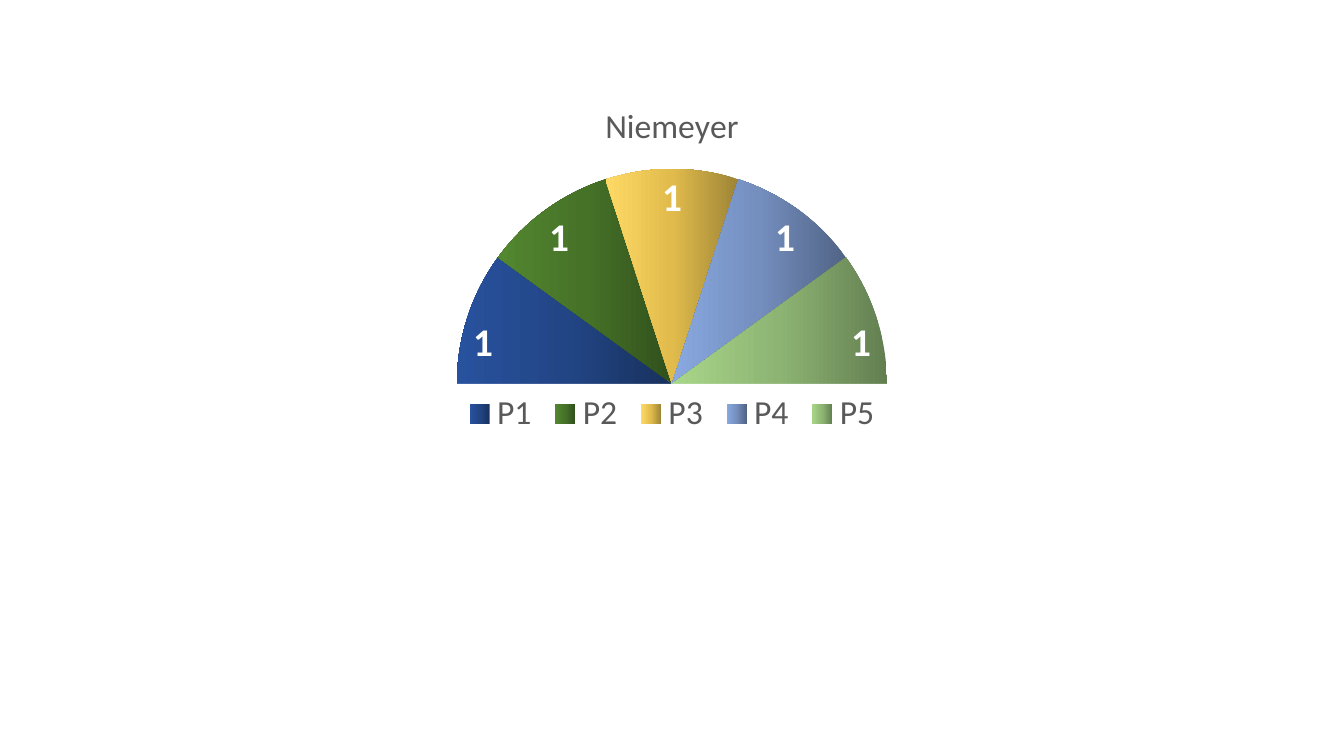
from copy import deepcopy
from pptx import Presentation
from pptx.chart.data import CategoryChartData
from pptx.dml.color import RGBColor
from pptx.enum.chart import XL_CHART_TYPE, XL_LABEL_POSITION, XL_LEGEND_POSITION
from pptx.oxml import parse_xml
from pptx.oxml.ns import nsdecls
from pptx.util import Inches, Pt

# Fan slices: dark, middle and light shade of each
SHADES = {
    "P1": ("18315E", "224585", "28529E"),
    "P2": ("31501C", "467228", "538730"),
    "P3": ("9E8436", "E1BC4C", "FFD966"),
    "P4": ("516486", "748EBE", "89A9E1"),
    "P5": ("637F51", "8DB473", "A8D689"),
}
REST = "P6"  # white lower half
COUNT = len(SHADES)


def color(code):
    return RGBColor.from_string(code)


def style(font, size, code, bold=False):
    font.name, font.size, font.bold = "Calibri", Pt(size), bold
    font.color.rgb = color(code)


def write(frame, text, **look):
    run = frame.paragraphs[0].add_run()
    run.text = text
    style(run.font, **look)


def node(body):
    """Make a chart element from its tag and content."""
    tag = body.split(">", 1)
    return parse_xml(f"<c:{tag[0]} {nsdecls('c')}>{tag[1]}")


def layout(inner, x, y, w, h):
    """Fix a chart part, in shares of the chart's size."""
    target = '<c:layoutTarget val="inner"/>' if inner else ""
    modes = '<c:xMode val="edge"/><c:yMode val="edge"/>'
    size = "".join(f'<c:{k} val="{v}"/>' for k, v in zip("xywh", (x, y, w, h)))
    return node(f"layout><c:manualLayout>{target}{modes}{size}</c:manualLayout></c:layout>")


class Deck:
    text = "595959"
    paper = "FFFFFF"

    def __init__(self, wide=13.33, high=7.5):
        self.show = Presentation()
        self.wide = self.show.slide_width = Inches(wide)
        self.high = self.show.slide_height = Inches(high)
        self.slide = self.show.slides.add_slide(self.show.slide_layouts[6])

    def fan(self, name, x, y, w, h):
        """Add a half pie; the place is in shares of the slide."""
        data = CategoryChartData()
        data.categories = [*SHADES, REST]
        data.add_series(name, [1] * COUNT + [COUNT])
        box = [int(v) for v in (x * self.wide, y * self.high, w * self.wide, h * self.high)]
        chart = self.slide.shapes.add_chart(XL_CHART_TYPE.PIE, *box, data).chart
        style(chart.font, 10, "000000")

        # Title
        chart.has_title = True
        write(chart.chart_title.text_frame, name, size=24, code=self.text)
        chart.chart_title.include_in_layout = False

        # Pie starts at the left
        plot = chart.plots[0]
        plot.vary_by_categories = True
        for old in plot._element.xpath("c:firstSliceAng"):
            plot._element.remove(old)
        plot._element.append(node('firstSliceAng val="270"></c:firstSliceAng>'))
        area = plot._element.getparent()
        for old in area.xpath("c:layout"):
            area.remove(old)
        area.insert(0, layout(True, 0.26, 0.15, 0.48, 0.72))

        self.paint(plot.series[0])
        self.label(plot.series[0])
        self.legend(chart)

    def paint(self, row):
        for i, tones in enumerate(SHADES.values()):
            fill = row.points[i].format.fill
            fill.gradient()
            fill.gradient_angle = 180
            stops = row._element.xpath(f"c:dPt[c:idx/@val={i}]//a:gsLst")[0]
            stops.append(deepcopy(stops[-1]))
            for stop, place, tone in zip(fill.gradient_stops, (0, 0.5, 1), tones):
                stop.position = place
                stop.color.rgb = color(tone)
        rest = row.points[COUNT].format.fill
        rest.solid()
        rest.fore_color.rgb = color(self.paper)

    def label(self, row):
        marks = row.data_labels
        marks.show_value = True
        marks.position = XL_LABEL_POSITION.INSIDE_END
        style(marks.font, 28, self.paper, bold=True)
        marks._element.insert(0, node(
            f'dLbl><c:idx val="{COUNT}"/><c:delete val="1"/></c:dLbl>'))

    def legend(self, chart):
        chart.has_legend = True
        key = chart.legend
        key.position = XL_LEGEND_POSITION.BOTTOM
        key.include_in_layout = False
        style(key.font, 24, self.text)
        root = key._element
        for old in root.xpath("c:layout"):
            root.remove(old)
        root.insert(1, node(
            f'legendEntry><c:idx val="{COUNT}"/><c:delete val="1"/></c:legendEntry>'))
        root.insert(2, layout(False, 0.26, 0.52, 0.48, 0.08))


def main():
    deck = Deck()
    deck.fan("Niemeyer", 1 / 6, 0.105, 2 / 3, 0.79)
    deck.show.save("out.pptx")


if __name__ == "__main__":
    main()
